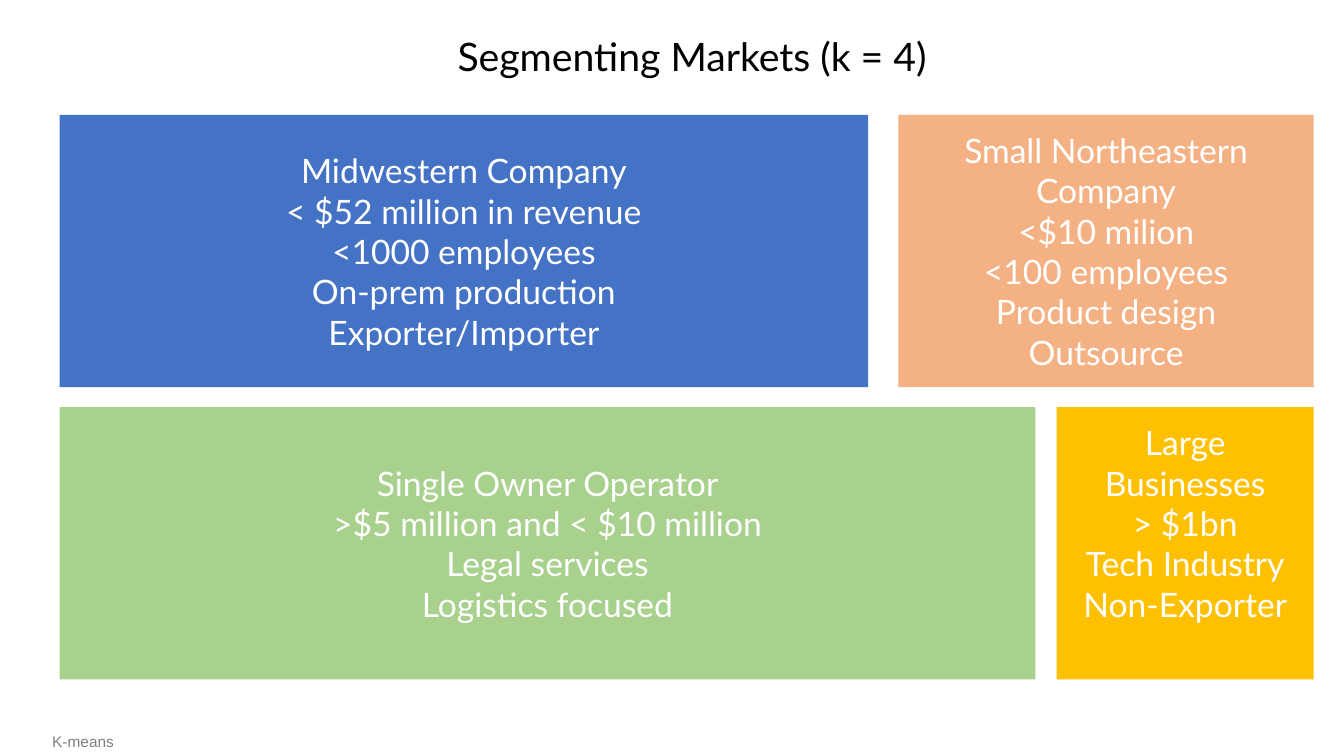
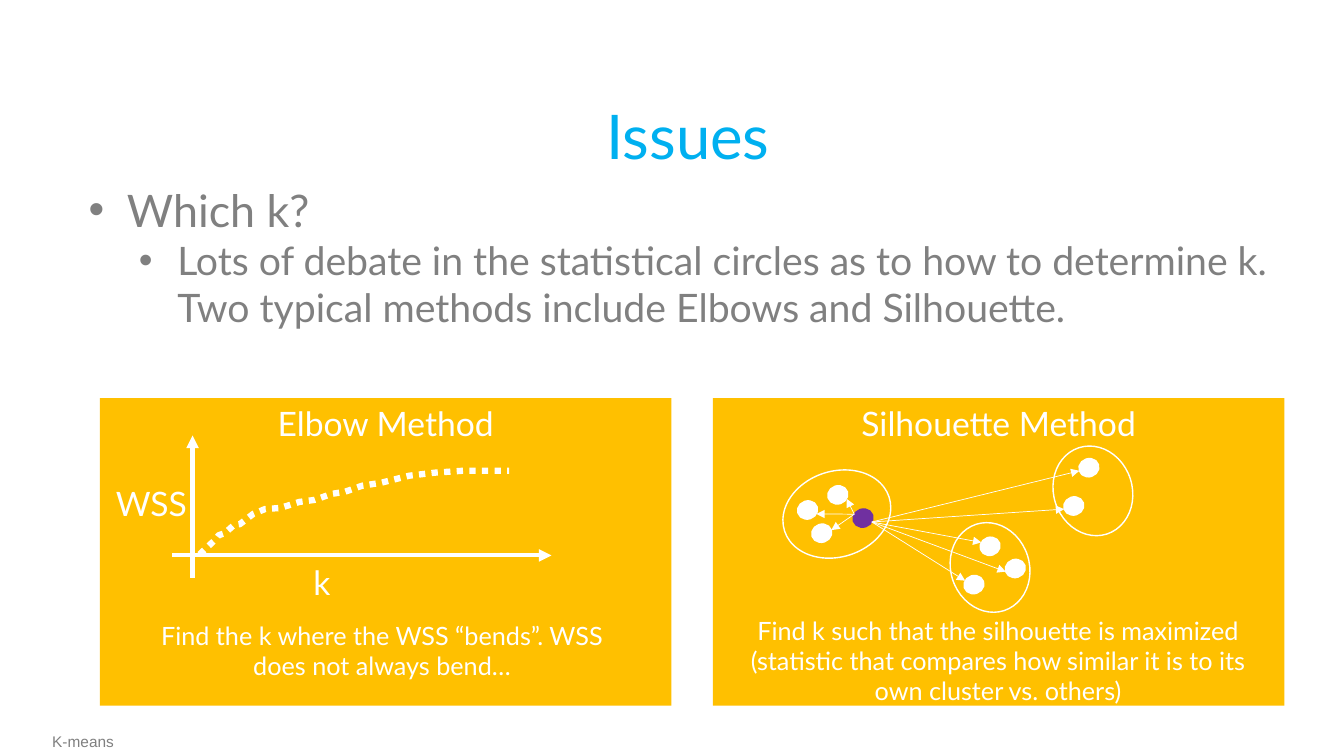
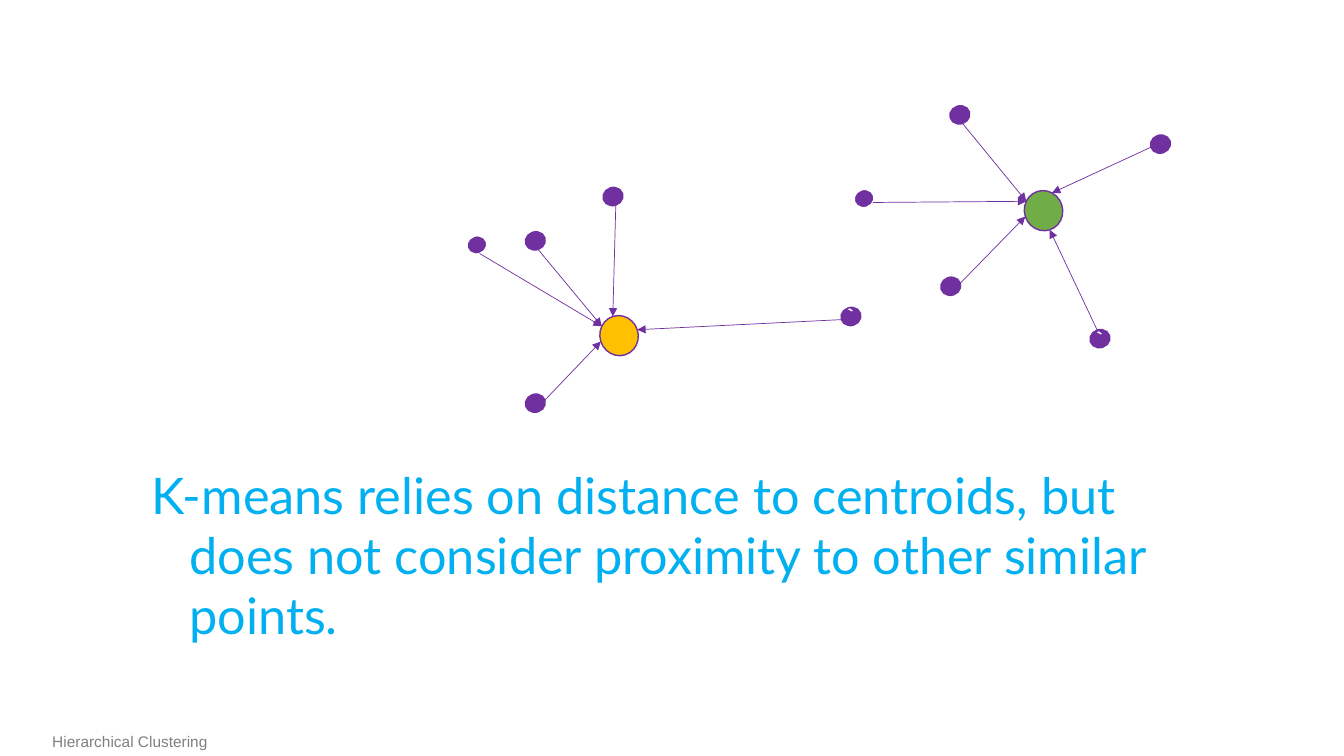
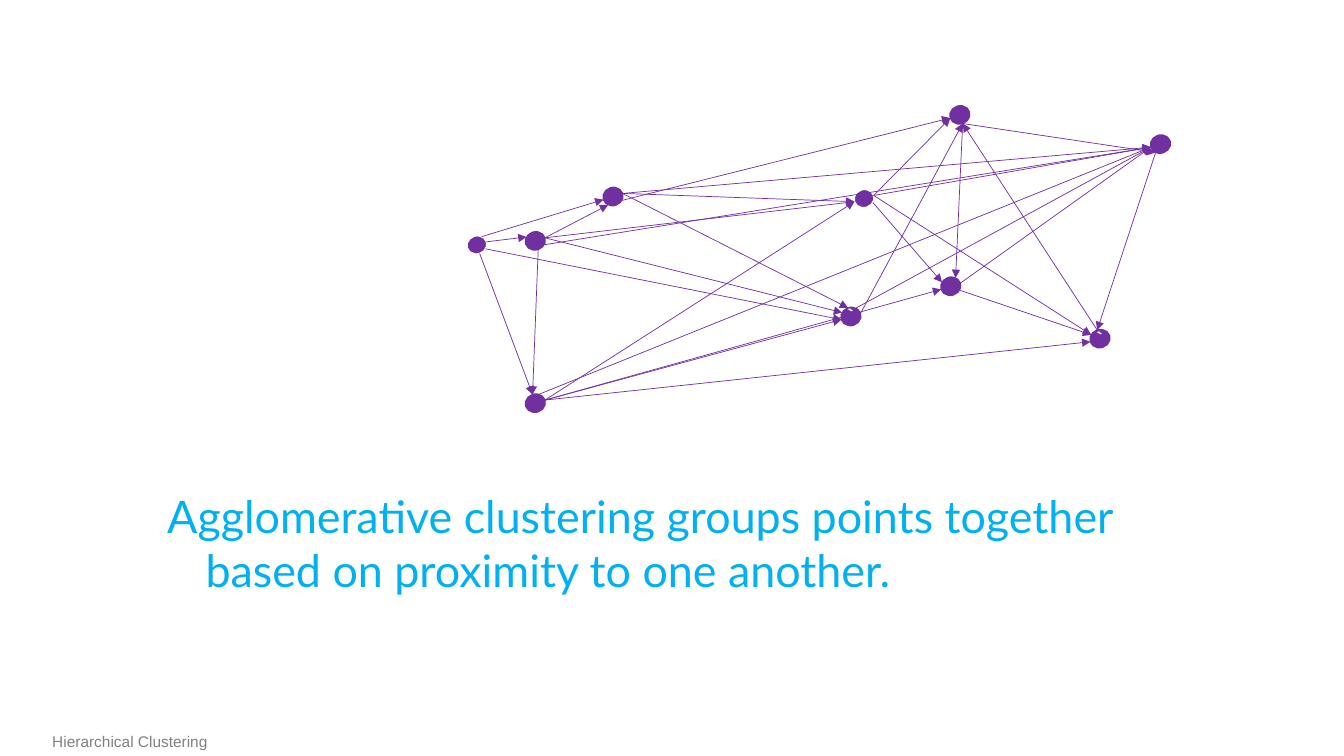
import math

from lxml import etree
from pptx import Presentation
from pptx import util as u
from pptx.dml.color import RGBColor
from pptx.enum import dml, shapes, text
from pptx.oxml.ns import qn

COLOURS = {
    "white": "FFFFFF", "black": "000000", "grey": "808080", "sky": "00B0F0",
    "blue": "4472C4", "peach": "F4B183", "lime": "A9D18E", "gold": "FFC000",
    "purple": "7030A0", "green": "70AD47",
}
TILT = 342  # rotation of every ellipse, degrees
DOT = (0.2, 0.18)
CENTROID = (0.38, 0.4)
INDENT = 0.38

# Compass sites on an ellipse, as angles clockwise from the right
SITES = {name: 45 * n for n, name in
         enumerate(("E", "SE", "S", "SW", "W", "NW", "N", "NE"))}


def rgb(name):
    return RGBColor.from_string(COLOURS[name])


class Deck:
    """Holds the shared style and the slide being drawn."""

    def __init__(self):
        self.prs = Presentation()
        self.prs.slide_width = u.Inches(13.33)
        self.prs.slide_height = u.Inches(7.5)
        self.s = None

    def slide(self, footer):
        self.s = self.prs.slides.add_slide(self.prs.slide_layouts[6])
        self.text((0.42, 7.21, 2.27, 0.29), footer, 11, "grey", font="Arial")

    def fill_text(self, tf, lines, size, colour, centre=False, font="Lato"):
        tf.word_wrap = True
        for n, line in enumerate(lines):
            p = tf.paragraphs[0] if n == 0 else tf.add_paragraph()
            p.alignment = text.PP_ALIGN.CENTER if centre else text.PP_ALIGN.LEFT
            self.run(p, line, size, colour, font)

    def run(self, p, line, size, colour, font="Lato"):
        r = p.add_run()
        r.text = line
        for key, value in {"name": font, "size": u.Pt(size)}.items():
            setattr(r.font, key, value)
        r.font.color.rgb = rgb(colour)

    def box(self, at):
        tf = self.s.shapes.add_textbox(*map(u.Inches, at)).text_frame
        tf.word_wrap = True
        tf.auto_size = text.MSO_AUTO_SIZE.SHAPE_TO_FIT_TEXT
        return tf

    def text(self, at, line, size, colour, centre=False, font="Lato"):
        tf = self.box(at)
        self.fill_text(tf, [line], size, colour, centre, font)
        return tf

    def indent(self, p, left):
        for key, value in {"marL": left, "indent": -INDENT}.items():
            p._p.get_or_add_pPr().set(key, str(u.Inches(value)))

    def bullets(self, at, items, colour):
        tf = self.box(at)
        for level, (line, size) in enumerate(items):
            p = tf.add_paragraph() if level else tf.paragraphs[0]
            p.level = level
            self.indent(p, INDENT + 0.5 * level)
            pPr = p._p.get_or_add_pPr()
            etree.SubElement(pPr, qn("a:buFont")).set("typeface", "Arial")
            etree.SubElement(pPr, qn("a:buChar")).set("char", "•")
            self.run(p, line, size, colour)

    def statement(self, at, line, size):
        tf = self.text(at, line, size, "sky")
        self.indent(tf.paragraphs[0], INDENT)

    def shape(self, kind, at, fill, line=None):
        sp = self.s.shapes.add_shape(kind, *map(u.Inches, at))
        sp.shadow.inherit = False
        if fill:
            sp.fill.solid()
            sp.fill.fore_color.rgb = rgb(fill)
        else:
            sp.fill.background()
        if line:
            sp.line.color.rgb = rgb(line)
            sp.line.width = u.Pt(1)
        else:
            sp.line.fill.background()
        return sp

    def panel(self, at, fill, lines, top=False):
        sp = self.shape(shapes.MSO_SHAPE.RECTANGLE, at, fill)
        tf = sp.text_frame
        tf.vertical_anchor = text.MSO_ANCHOR.TOP if top else text.MSO_ANCHOR.MIDDLE
        self.fill_text(tf, lines, 24, "white", centre=True)
        return tf

    def ellipse(self, centre, size, fill, line, mark=None):
        (x, y), (w, h) = centre, size
        sp = self.shape(shapes.MSO_SHAPE.OVAL, (x - w / 2, y - h / 2, w, h), fill, line)
        sp.rotation = TILT
        if mark:
            self.fill_text(sp.text_frame, [mark], 18, "white", True, "Calibri")

    def arrow(self, start, end, colour, width):
        c = self.s.shapes.add_connector(
            shapes.MSO_CONNECTOR.STRAIGHT, *map(u.Inches, (*start, *end)))
        c.line.color.rgb = rgb(colour)
        c.line.width = u.Pt(width)
        etree.SubElement(c.line._get_or_add_ln(), qn("a:tailEnd")).set("type", "triangle")
        etree.SubElement(c._element.spPr, qn("a:effectLst"))

    def links(self, nodes, pairs, colour):
        """Thin arrows between sites; pairs are written 'node site node site'."""
        for pair in pairs:
            a, a_site, b, b_site = pair.split()
            self.arrow(site(*nodes[a], a_site), site(*nodes[b], b_site), colour, 0.5)

    def curve(self, points, colour, width):
        (x, y), *rest = points
        fb = self.s.shapes.build_freeform(u.Inches(x), u.Inches(y))
        fb.add_line_segments([tuple(map(u.Inches, p)) for p in rest], close=False)
        sp = fb.convert_to_shape()
        sp.shadow.inherit = False
        sp.fill.background()
        sp.line.color.rgb = rgb(colour)
        sp.line.width = u.Pt(width)
        sp.line.dash_style = dml.MSO_LINE.ROUND_DOT


def site(centre, size, name):
    """Point on a tilted ellipse."""
    angle, tilt = math.radians(SITES[name]), math.radians(TILT)
    dx, dy = size[0] / 2 * math.cos(angle), size[1] / 2 * math.sin(angle)
    return (centre[0] + dx * math.cos(tilt) - dy * math.sin(tilt),
            centre[1] + dx * math.sin(tilt) + dy * math.cos(tilt))


# Data points shared by the two clustering slides
POINTS = {
    "a": (4.73, 2.43), "b": (6.08, 1.95), "c": (5.31, 2.39), "d": (5.31, 4),
    "e": (8.44, 3.14), "f": (8.57, 1.97), "g": (11.51, 1.43), "h": (9.52, 1.14),
    "i": (9.43, 2.84), "j": (10.91, 3.36),
}


def scatter(deck):
    for name, centre in POINTS.items():
        deck.ellipse(centre, DOT, "purple", "white" if name in "af" else "purple",
                     "`" if name in "ej" else None)
    return {name: (centre, DOT) for name, centre in POINTS.items()}


def segments(deck):
    deck.slide("K-means")
    deck.text((0.2, 0.27, 13.33, 0.57), "Segmenting Markets (k = 4)", 28, "black", True)
    left, right, top, height, gap = 0.59, 13.03, 1.14, 2.7, 0.2
    rows = [
        (8.02, 8.91,
         ("blue", ["Midwestern Company", "< $52 million in revenue", "<1000 employees",
                   "On-prem production", "Exporter/Importer"]),
         ("peach", ["Small Northeastern Company", "<$10 milion", "<100 employees",
                    "Product design", "Outsource"])),
        (9.68, 10.48,
         ("lime", ["Single Owner Operator", ">$5 million and < $10 million",
                   "Legal services", "Logistics focused"]),
         ("gold", ["Large Businesses", "> $1bn", "Tech Industry", "Non-Exporter"])),
    ]
    for n, (width, x, first, second) in enumerate(rows):
        y = top + n * (height + gap)
        deck.panel((left, y, width, height), *first)
        tf = deck.panel((x, y, right - x, height), *second)
    tf.margin_bottom = u.Inches(0.45)  # lifts the last panel's text


def issues(deck):
    deck.slide("K-means")
    deck.text((1.31, 0.92, 11.03, 0.84), "Issues", 44, "sky", True)
    deck.bullets((0.78, 1.76, 12.08, 1.58), [
        ("Which k?", 32),
        ("Lots of debate in the statistical circles as to how to determine k. "
         "Two typical methods include Elbows and Silhouette.", 28)], "grey")

    # Elbow method
    deck.panel((0.99, 3.95, 5.67, 3.05), "gold", ["Elbow Method"], top=True)
    deck.arrow((1.91, 5.73), (1.91, 4.32), "white", 3)
    deck.arrow((1.71, 5.51), (5.47, 5.51), "white", 3)
    deck.curve([(1.98, 5.5), (2.14, 5.35), (2.17, 5.31), (2.23, 5.29), (2.32, 5.21),
                (2.38, 5.2), (2.51, 5.1), (2.63, 5.05), (2.78, 5.04), (2.97, 4.98),
                (3.12, 4.96), (3.29, 4.9), (3.42, 4.88), (3.59, 4.82), (3.78, 4.79),
                (4.06, 4.72), (4.31, 4.69), (4.6, 4.67), (5.05, 4.67)], "white", 4.5)
    deck.text((1.05, 4.74, 1.01, 0.51), "WSS", 24, "white")
    deck.text((3.01, 5.53, 1.01, 0.51), "k", 24, "white")
    deck.text((1.21, 6.1, 5.16, 0.71),
              "Find the k where the WSS “bends”. WSS does not always bend…",
              18, "white", True)

    # Silhouette method
    deck.panel((7.07, 3.95, 5.67, 3.05), "gold", ["Silhouette Method"], top=True)
    deck.text((7.32, 6.05, 5.16, 1.01),
              "Find k such that the silhouette is maximized (statistic that compares "
              "how similar it is to its own cluster vs. others)", 18, "white", True)
    for centre, size in (((10.84, 4.87), (0.78, 0.9)), ((8.3, 5.1), (1.09, 0.85)),
                         ((9.82, 5.63), (0.78, 0.9))):
        deck.ellipse(centre, size, None, "white")
    members = {
        "own": (8.56, 5.14), "p1": (8.31, 4.91), "p2": (8.15, 5.29), "p3": (8.01, 5.06),
        "q1": (9.82, 5.42), "q2": (9.66, 5.8), "q3": (10.07, 5.64),
        "r1": (10.8, 4.64), "r2": (10.65, 5.02),
    }
    for name, centre in members.items():
        colour = "purple" if name == "own" else "white"
        deck.ellipse(centre, DOT, colour, colour)
    deck.links({name: (centre, DOT) for name, centre in members.items()}, [
        "own NW p1 SE", "own NW p3 SE", "own NW p2 E", "own SE q2 NW",
        "own SE q1 NW", "own SE q3 W", "own SE r2 W", "own SE r1 W"], "white")


def centroids(deck):
    deck.slide("Hierarchical Clustering")
    deck.statement((1.4, 4.55, 10.61, 1.92),
                   "K-means relies on distance to centroids, but does not consider "
                   "proximity to other similar points.", 36)
    nodes = scatter(deck)
    for name, centre, fill in (("left", (6.14, 3.33), "gold"),
                               ("right", (10.35, 2.09), "green")):
        deck.ellipse(centre, CENTROID, fill, "purple")
        nodes[name] = (centre, CENTROID)
    deck.links(nodes, [
        "d E left W", "a S left NW", "c S left NW", "b S left N", "e W left E",
        "i E right W", "h S right NW", "g W right NE", "f SE right NW",
        "j N right S"], "purple")


def agglomerative(deck):
    deck.slide("Hierarchical Clustering")
    deck.statement((1.56, 4.8, 10.61, 1.18),
                   "Agglomerative clustering groups points together based on "
                   "proximity to one another.", 32)
    deck.links(scatter(deck), [
        "a E c NW", "a S d N", "a SE e W", "a NE b W", "c E b SW", "c E e NW",
        "c S d N", "d E e W", "d E j W", "d E i W", "d E f W", "c E f W",
        "b E f W", "b E e N", "f E h W", "f E g W", "b SE h W", "b E g W",
        "f E j NW", "i SE j NW", "f SE i NW", "h S i NE", "h S g SW", "g SW j N",
        "i E g W", "e E h S", "j N h S", "e NE g W", "d NW g W", "c SE g W"],
        "purple")


def main():
    deck = Deck()
    for build in (segments, issues, centroids, agglomerative):
        build(deck)
    deck.prs.save("out.pptx")


if __name__ == "__main__":
    main()
